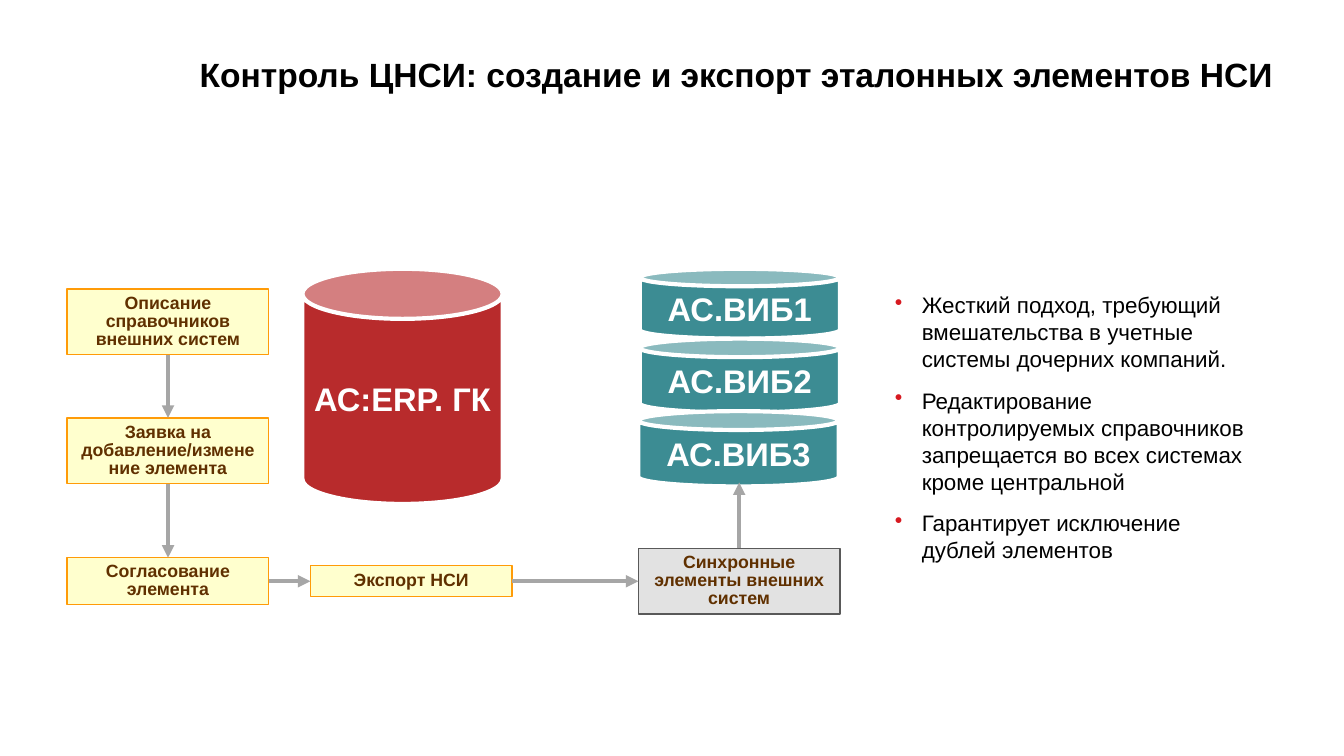
from dataclasses import dataclass
from typing import Optional

from lxml import etree
from pptx import Presentation
from pptx import util as u
from pptx.dml.color import RGBColor
from pptx.enum import shapes, text
from pptx.oxml.ns import qn

I = u.Inches
TOP, LEFT, BOTTOM, RIGHT = range(4)


@dataclass(frozen=True)
class Theme:
    font: str = "Arial"
    black: str = "000000"
    white: str = "FFFFFF"
    brown: str = "603000"
    yellow: str = "FFFFBE"
    orange: str = "FF9B08"
    silver: str = "D9D9D9"
    dark_grey: str = "595959"
    arrow: str = "A6A6A6"
    red: str = "B82B2C"
    teal: str = "3C8C93"
    bullet: str = "D71920"
    title_pt: float = 18
    store_pt: float = 17.5
    list_pt: float = 12
    step_pt: float = 9.5
    box_line_pt: float = 0.75
    thick_line_pt: float = 2.25


T = Theme()


@dataclass(frozen=True)
class Step:
    label: str
    x: float
    y: float
    h: float
    fill: str = T.yellow
    line: str = T.orange
    w: float = 1.5


@dataclass(frozen=True)
class Store:
    label: str
    x: float
    y: float
    h: float
    fill: str = T.teal
    w: float = 1.49


@dataclass(frozen=True)
class Link:
    start: int
    start_side: int
    end: int
    end_side: int


STEPS = [
    Step("Описание справочников внешних систем", 0.5, 2.15, 0.49),
    Step("Заявка на добавление/изменение элемента", 0.5, 3.11, 0.49),
    Step("Согласование элемента", 0.5, 4.15, 0.35),
    Step("Экспорт НСИ", 2.31, 4.21, 0.23),
    Step("Синхронные элементы внешних систем", 4.75, 4.08, 0.49, T.silver, T.dark_grey),
]
LINKS = [
    Link(0, BOTTOM, 1, TOP),
    Link(1, BOTTOM, 2, TOP),
    Link(2, RIGHT, 3, LEFT),
    Link(3, RIGHT, 4, LEFT),
]
STORES = [
    Store("АС:ERP. ГК", 2.25, 2, 1.75, T.red),
    Store("АС.ВИБ1", 4.76, 2, 0.52),
    Store("АС.ВИБ2", 4.76, 2.52, 0.55),
    Store("АС.ВИБ3", 4.75, 3.06, 0.56),
]
POINTS = [
    "Жесткий подход, требующий вмешательства в учетные системы дочерних компаний.",
    "Редактирование контролируемых справочников запрещается во всех системах кроме центральной",
    "Гарантирует исключение дублей элементов",
]


def apply(target, values: dict) -> None:
    for name, value in values.items():
        setattr(target, name, value)


def set_font(p, size: float, color: str, bold: bool = True) -> None:
    for r in p.runs:
        apply(r.font, {"name": T.font, "size": u.Pt(size), "bold": bold})
        r.font.color.rgb = RGBColor.from_string(color)


def set_text(sp, label: str, size: float, color: str, wrap: bool = True, spacing: Optional[float] = None) -> None:
    tf = sp.text_frame
    apply(tf, {
        "word_wrap": wrap, "vertical_anchor": text.MSO_ANCHOR.MIDDLE,
        "margin_left": I(0.08), "margin_right": I(0.08),
        "margin_top": I(0.04), "margin_bottom": I(0.04),
    })
    p = tf.paragraphs[0]
    apply(p, {"text": label, "alignment": text.PP_ALIGN.CENTER, "line_spacing": spacing})
    set_font(p, size, color)


def add_block(s, kind, item, line: str, width: float):
    sp = s.shapes.add_shape(kind, I(item.x), I(item.y), I(item.w), I(item.h))
    sp.shadow.inherit = False
    sp.fill.solid()
    sp.fill.fore_color.rgb = RGBColor.from_string(item.fill)
    sp.line.color.rgb = RGBColor.from_string(line)
    sp.line.width = u.Pt(width)
    return sp


def add_step(s, step: Step):
    sp = add_block(s, shapes.MSO_SHAPE.RECTANGLE, step, step.line, T.box_line_pt)
    color = sp.fill._xPr.find(qn("a:solidFill"))[0]
    etree.SubElement(color, qn("a:alpha"), val="75000")
    set_text(sp, step.label, T.step_pt, T.brown, spacing=0.85)
    return sp


def add_store(s, store: Store) -> None:
    sp = add_block(s, shapes.MSO_SHAPE.CAN, store, T.white, T.thick_line_pt)
    sp.adjustments[0] = 0.25
    set_text(sp, store.label, T.store_pt, T.white, wrap=False)


def side_point(sp, side: int) -> tuple[int, int]:
    mid_x, mid_y = sp.left + sp.width // 2, sp.top + sp.height // 2
    return {
        TOP: (mid_x, sp.top), LEFT: (sp.left, mid_y),
        BOTTOM: (mid_x, sp.top + sp.height), RIGHT: (sp.left + sp.width, mid_y),
    }[side]


def add_arrow(s, start: tuple[int, int], end: tuple[int, int]):
    arrow = s.shapes.add_connector(shapes.MSO_CONNECTOR.STRAIGHT, *start, *end)
    arrow.line.color.rgb = RGBColor.from_string(T.arrow)
    arrow.line.width = u.Pt(T.thick_line_pt)
    etree.SubElement(arrow.line._get_or_add_ln(), qn("a:tailEnd"), type="triangle")
    etree.SubElement(arrow._element.spPr, qn("a:effectLst"))
    return arrow


def add_points(s, points: list[str]) -> None:
    tf = s.shapes.add_textbox(I(6.56), I(2.12), I(2.81), I(2.61)).text_frame
    tf.word_wrap = True
    for i, point in enumerate(points):
        p = tf.add_paragraph() if i else tf.paragraphs[0]
        apply(p, {"text": point, "space_after": u.Pt(4), "space_before": u.Pt(4 if i else 0)})
        pPr = p._p.get_or_add_pPr()
        pPr.set("marL", str(I(0.2)))
        pPr.set("indent", str(I(-0.2)))
        color = etree.SubElement(pPr, qn("a:buClr"))
        etree.SubElement(color, qn("a:srgbClr"), val=T.bullet)
        etree.SubElement(pPr, qn("a:buChar"), char="•")
        set_font(p, T.list_pt, T.black, bold=False)


def main() -> None:
    # Widescreen 16:9 page
    prs = Presentation()
    apply(prs, {"slide_width": I(10), "slide_height": I(10) * 9 // 16})
    s = prs.slides.add_slide(prs.slide_layouts[5])

    # Title
    title = s.shapes.title
    apply(title, {"left": I(1.28), "top": I(0.21), "width": I(8.4), "height": I(0.69)})
    set_text(title, "Контроль ЦНСИ: создание и экспорт эталонных элементов НСИ", T.title_pt, T.black)

    # Databases
    for store in STORES:
        add_store(s, store)

    # Process steps and the arrows joining them
    boxes = [add_step(s, step) for step in STEPS]
    for link in LINKS:
        start, end = boxes[link.start], boxes[link.end]
        arrow = add_arrow(s, side_point(start, link.start_side), side_point(end, link.end_side))
        arrow.begin_connect(start, link.start_side)
        arrow.end_connect(end, link.end_side)

    # Arrow from the synchronous elements up to the databases
    sync = boxes[-1]
    arrow = add_arrow(s, side_point(sync, TOP), (I(5.5), I(3.59)))
    arrow.begin_connect(sync, TOP)

    # Remarks
    add_points(s, POINTS)
    prs.save("out.pptx")


if __name__ == "__main__":
    main()
